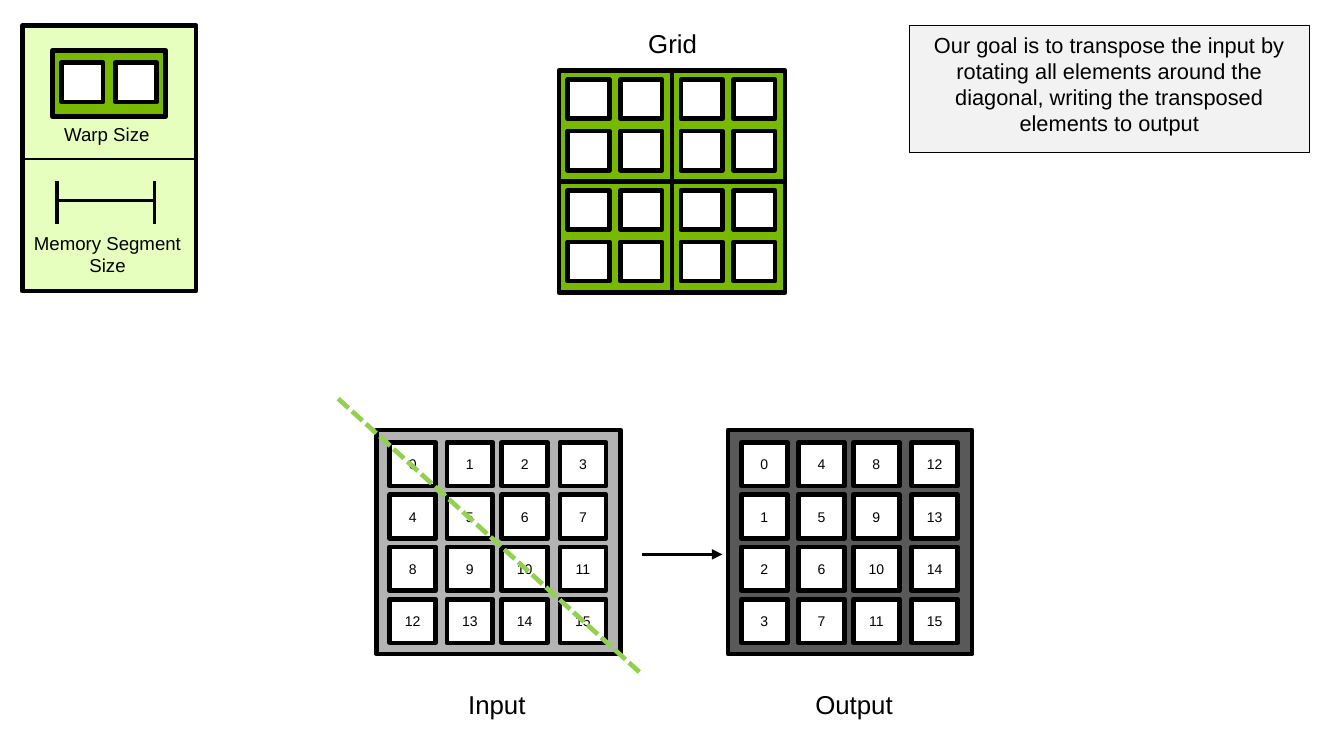
from pptx import Presentation
from pptx import util as u
from pptx.dml.color import RGBColor
from pptx.enum import dml, shapes, text
from pptx.oxml import ns, xmlchemy

BLACK, WHITE, GREEN = "000000", "FFFFFF", "76B900"


def color(code):
    return RGBColor.from_string(code)


def write(frame, words, size=12, pad=0, wrap=True, anchor="TOP"):
    frame.word_wrap = wrap
    frame.margin_left = frame.margin_right = u.Inches(pad)
    frame.margin_top = frame.margin_bottom = u.Inches(0.05)
    frame.vertical_anchor = getattr(text.MSO_ANCHOR, anchor)
    para = frame.paragraphs[0]
    para.alignment = text.PP_ALIGN.CENTER
    run = para.add_run()
    run.text = str(words)
    run.font.name = "Arial"
    run.font.size = u.Pt(size)
    run.font.color.rgb = color(BLACK)


class Board:
    def __init__(self, slide):
        self.items = slide.shapes

    def box(self, x, y, w, h, fill=WHITE, line=3):
        shape = self.items.add_shape(
            shapes.MSO_SHAPE.RECTANGLE, *map(u.Inches, (x, y, w, h)))
        shape.shadow.inherit = False
        shape.fill.solid()
        shape.fill.fore_color.rgb = color(fill)
        shape.line.color.rgb = color(BLACK)
        shape.line.width = u.Pt(line)
        return shape

    def label(self, x, y, w, h, words, **style):
        item = self.items.add_textbox(*map(u.Inches, (x, y, w, h)))
        write(item.text_frame, words, **style)

    def line(self, x1, y1, x2, y2, width=2.25, tint=BLACK, dash=None,
             arrow=False):
        item = self.items.add_connector(
            shapes.MSO_CONNECTOR.STRAIGHT, *map(u.Inches, (x1, y1, x2, y2)))
        item.line.color.rgb = color(tint)
        item.line.width = u.Pt(width)
        if dash:
            item.line.dash_style = dash
        if arrow:
            tail = xmlchemy.OxmlElement("a:tailEnd")
            tail.set("type", "triangle")
            item.line._get_or_add_ln().append(tail)
        props = item._element.find(ns.qn("p:spPr"))
        props.append(xmlchemy.OxmlElement("a:effectLst"))

    def thread(self, x, y):
        self.box(x, y, 0.37, 0.35)

    def block(self, x, y):
        self.box(x, y, 1.01, 0.99, GREEN)
        for row in range(2):
            for col in range(2):
                self.thread(x + 0.08 + 0.47 * col, y + 0.08 + 0.46 * row)

    def matrix(self, x, y, fill, rows):
        self.box(x, y, 2.18, 2, fill)
        for row, values in enumerate(rows):
            for dx, value in zip((0.12, 0.63, 1.12, 1.64), values):
                cell = self.box(x + dx, y + 0.11 + 1.4 / 3 * row, 0.41, 0.39)
                write(cell.text_frame, value, size=9, wrap=False,
                      anchor="MIDDLE")


def main():
    deck = Presentation()
    deck.slide_width, deck.slide_height = u.Inches(12), u.Inches(6.75)
    board = Board(deck.slides.add_slide(deck.slide_layouts[6]))

    # Thread grid
    board.label(5.65, 0.2, 0.71, 0.38, "Grid", size=16.6, wrap=False)
    for row in range(2):
        for col in range(2):
            board.block(4.99 + 1.01 * col, 0.63 + 0.99 * row)

    # Goal
    goal = board.box(8.12, 0.23, 3.57, 1.13, "F2F2F2", line=0.75)
    write(goal.text_frame,
          "Our goal is to transpose the input by rotating all elements "
          "around the diagonal, writing the transposed elements to output",
          size=14, pad=0.1)

    # Input, its diagonal, and output
    rows = [range(4 * n, 4 * n + 4) for n in range(4)]
    board.matrix(3.36, 3.84, "B3B3B3", rows)
    board.line(3.02, 3.56, 5.73, 6.02, width=3, tint="92D050",
               dash=dml.MSO_LINE.SQUARE_DOT)
    board.matrix(6.5, 3.84, "595959", zip(*rows))
    board.line(5.73, 4.95, 6.45, 4.95, arrow=True)
    board.label(4.04, 6.1, 0.79, 0.38, "Input", size=16.6, wrap=False)
    board.label(7.15, 6.1, 0.95, 0.38, "Output", size=16.6, wrap=False)

    # Legend: warp
    board.box(0.2, 0.23, 1.55, 2.37, "E7FFBE")
    board.box(0.47, 0.45, 1.01, 0.59, GREEN)
    for x in (0.55, 1.03):
        board.thread(x, 0.56)
    board.label(0.45, 1.05, 1.01, 0.3, "Warp Size", wrap=False)
    board.line(0.2, 1.42, 1.76, 1.42, width=1.5)

    # Legend: memory segment
    board.line(0.51, 1.79, 1.38, 1.79)
    for x in (0.51, 1.38):
        board.line(x, 1.62, x, 2)
    board.label(0.2, 2.02, 1.52, 0.5, "Memory Segment Size")

    deck.save("out.pptx")


if __name__ == "__main__":
    main()
